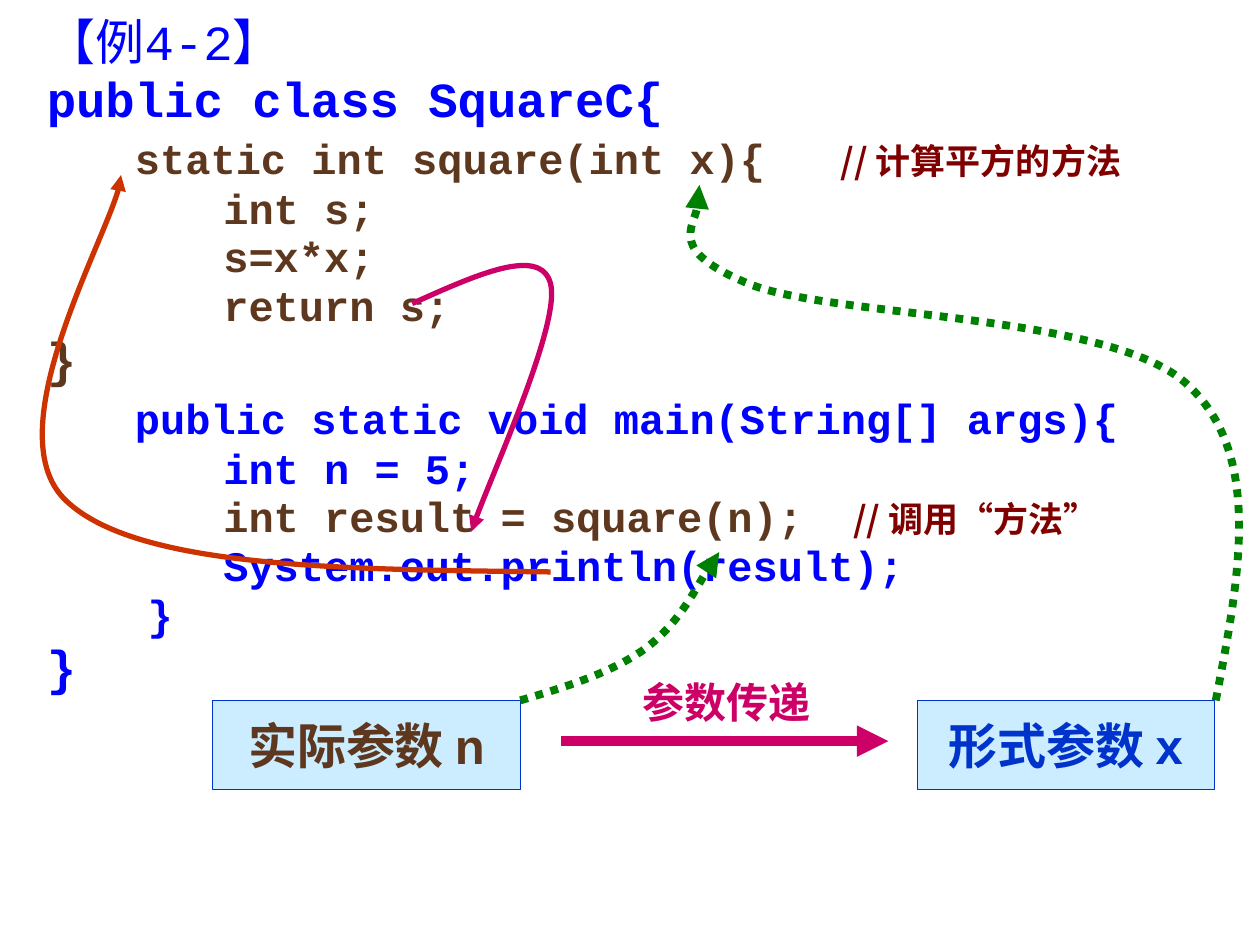
from dataclasses import dataclass
from lxml.etree import SubElement
from pptx import Presentation
from pptx.dml.color import RGBColor
from pptx.enum.dml import MSO_LINE
from pptx.enum.shapes import MSO_CONNECTOR, MSO_SHAPE
from pptx.enum.text import MSO_ANCHOR, MSO_AUTO_SIZE, PP_ALIGN
from pptx.oxml.ns import qn
from pptx.util import Cm, Pt


@dataclass(frozen=True)
class Theme:
    blue: str = "0000FF"
    brown: str = "5E381E"
    maroon: str = "800000"
    navy: str = "0033CC"
    sky: str = "CCECFF"
    rust: str = "CC3300"
    pink: str = "CC0066"
    green: str = "008000"
    big: int = 28
    mid: int = 24
    small: int = 20
    code: str = "Courier New"
    sans: str = "Arial"
    han: str = "Noto Sans CJK SC"


T = Theme()


def write(para, text, color, size, face, bold=True):
    """Add a run, with the Han font set for its Chinese text."""
    run = para.add_run()
    run.text = text
    for key, val in dict(name=face, size=Pt(size), bold=bold).items():
        setattr(run.font, key, val)
    run.font.color.rgb = RGBColor.from_string(color)
    SubElement(run._r.get_or_add_rPr(), qn("a:ea"), typeface=T.han)


def arrow(shape, color, width, dash=None):
    """Style a line and put an arrowhead at its end."""
    shape.line.color.rgb = RGBColor.from_string(color)
    for key, val in dict(width=Pt(width), dash_style=dash).items():
        setattr(shape.line, key, val)
    props = shape._element.spPr
    SubElement(props.find(qn("a:ln")), qn("a:tailEnd"), type="triangle")
    SubElement(props, qn("a:effectLst"))


deck = Presentation()
deck.slide_width, deck.slide_height = Cm(25.4), Cm(19.05)
slide = deck.slides.add_slide(deck.slide_layouts[1])
shapes = slide.shapes
title = shapes.title._element
title.getparent().remove(title)

# Code listing: each line is a list of (text, colour, size, font)
note = (T.maroon, T.small, T.han)
quote = (T.maroon, T.small, T.code)
head = (T.blue, T.big, T.code)
main = (T.blue, T.mid, T.code)
func = (T.brown, T.mid, T.code)
lines = [
    [("【例4-2】", *head, False)],
    [("public class SquareC{", *head)],
    [("   ", *head), ("static int square(int x){   ", *func), ("// 计算平方的方法", *note)],
    [("       int s;", *func)],
    [("       s=x*x;", *func)],
    [("       return s;", *func)],
    [("}", T.brown, T.big, T.code)],
    [("   ", *head), ("public static void main(String[] args){", *main)],
    [("       int n = 5;", *main)],
    [("       int result = square(n);  ", *func), ("// 调用", *note),
     ("“", *quote), ("方法", *note), ("”", *quote)],
    [("       System.out.println(result);", *main)],
    [("    }", *main)],
    [("}", *head)],
]
body = slide.placeholders[1]
place = dict(left=Cm(0.69), top=Cm(0.33), width=Cm(24.71), height=Cm(15.39))
for key, val in place.items():
    setattr(body, key, val)
frame = body.text_frame
frame.auto_size = MSO_AUTO_SIZE.NONE
for row, line in enumerate(lines):
    para = frame.add_paragraph() if row else frame.paragraphs[0]
    props = para._p.get_or_add_pPr()
    props.set("marL", str(Cm(0.95)))
    props.set("indent", str(-Cm(0.95)))
    SubElement(props, qn("a:buNone"))
    para.line_spacing = 0.8
    para.alignment = PP_ALIGN.JUSTIFY if row < 3 else PP_ALIGN.LEFT
    if row == 0:
        para.space_before = Pt(0)
    for part in line:
        write(para, *part)

# Parameter boxes
for left, width, text, color in [
    (4.29, 6.2, "实际参数 n", T.brown),
    (18.49, 5.99, "形式参数 x", T.navy),
]:
    box = shapes.add_shape(MSO_SHAPE.RECTANGLE, Cm(left), Cm(14.12), Cm(width), Cm(1.8))
    box.shadow.inherit = False
    box.fill.solid()
    box.fill.fore_color.rgb = RGBColor.from_string(T.sky)
    box.line.color.rgb = RGBColor.from_string(T.navy)
    box.line.width = Pt(0.75)
    for key, val in dict(word_wrap=False, vertical_anchor=MSO_ANCHOR.MIDDLE).items():
        setattr(box.text_frame, key, val)
    para = box.text_frame.paragraphs[0]
    para.alignment = PP_ALIGN.CENTER
    write(para, text, color, T.big, T.sans)

# Passing of the parameter
group = shapes.add_group_shape()
link = group.shapes.add_connector(
    MSO_CONNECTOR.STRAIGHT, Cm(11.3), Cm(14.94), Cm(17.91), Cm(14.94))
arrow(link, T.pink, 6)
label = group.shapes.add_textbox(Cm(12.7), Cm(13.51), Cm(3.91), Cm(1.27))
label.text_frame.word_wrap = False
write(label.text_frame.paragraphs[0], "参数传递", T.pink, T.mid, T.sans)

# Curved arrows: a start point, then three points for each Bezier piece
call = [(11.1, 11.53), (6.93, 11.48), (2.79, 11.46), (1.35, 10.11),
        (-0.1, 8.79), (2.46, 4.27), (2.44, 3.53)]
back = [(8.31, 6.12), (9.6, 5.54), (10.9, 4.95), (11.1, 5.72),
        (11.3, 6.5), (9.75, 9.93), (9.5, 10.72)]
actual = [(10.49, 14.12), (11.43, 13.84), (12.34, 13.56), (13.03, 13.06),
          (13.69, 12.55), (14.3, 11.38), (14.5, 11.13)]
formal = [(24.51, 14.12), (24.99, 11.63), (25.48, 9.12), (23.9, 7.72),
          (22.33, 6.32), (16.74, 6.4), (15.09, 5.72),
          (13.46, 5.05), (14.22, 4.04), (14.1, 3.73)]
for points, *style in [
    (call, T.rust, 3),
    (back, T.pink, 3),
    (actual, T.green, 4.5, MSO_LINE.ROUND_DOT),
    (formal, T.green, 4.5, MSO_LINE.ROUND_DOT),
]:
    start, *rest = [(Cm(x), Cm(y)) for x, y in points]
    pen = shapes.build_freeform(*start)
    pen.add_line_segments(rest, close=False)
    curve = pen.convert_to_shape()
    curve.fill.background()
    arrow(curve, *style)
    steps = curve._element.xpath(".//a:lnTo")
    track = steps[0].getparent()
    for first in range(0, len(steps), 3):
        bend = SubElement(track, qn("a:cubicBezTo"))
        for step in steps[first:first + 3]:
            bend.append(step[0])
            track.remove(step)

deck.save("out.pptx")
